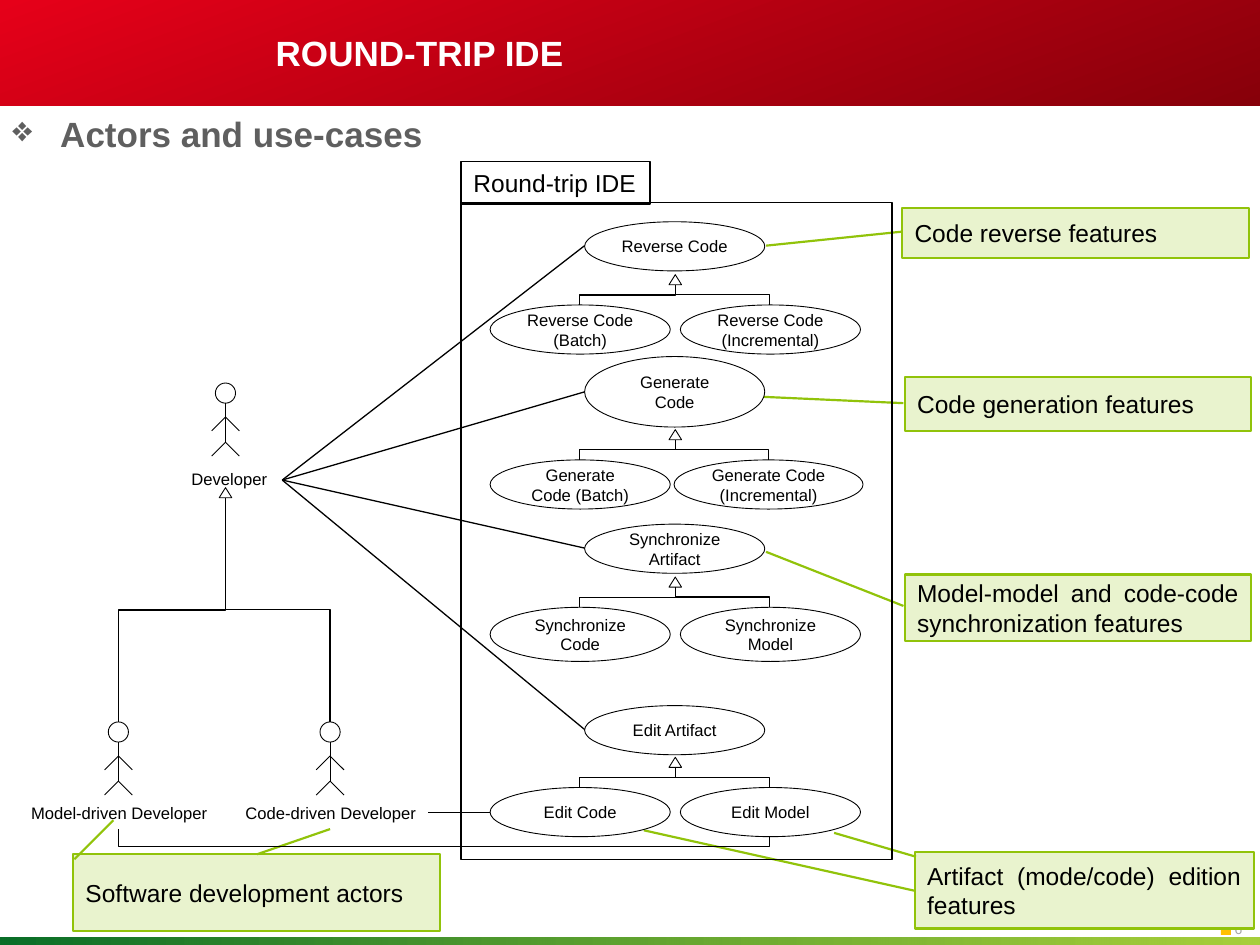
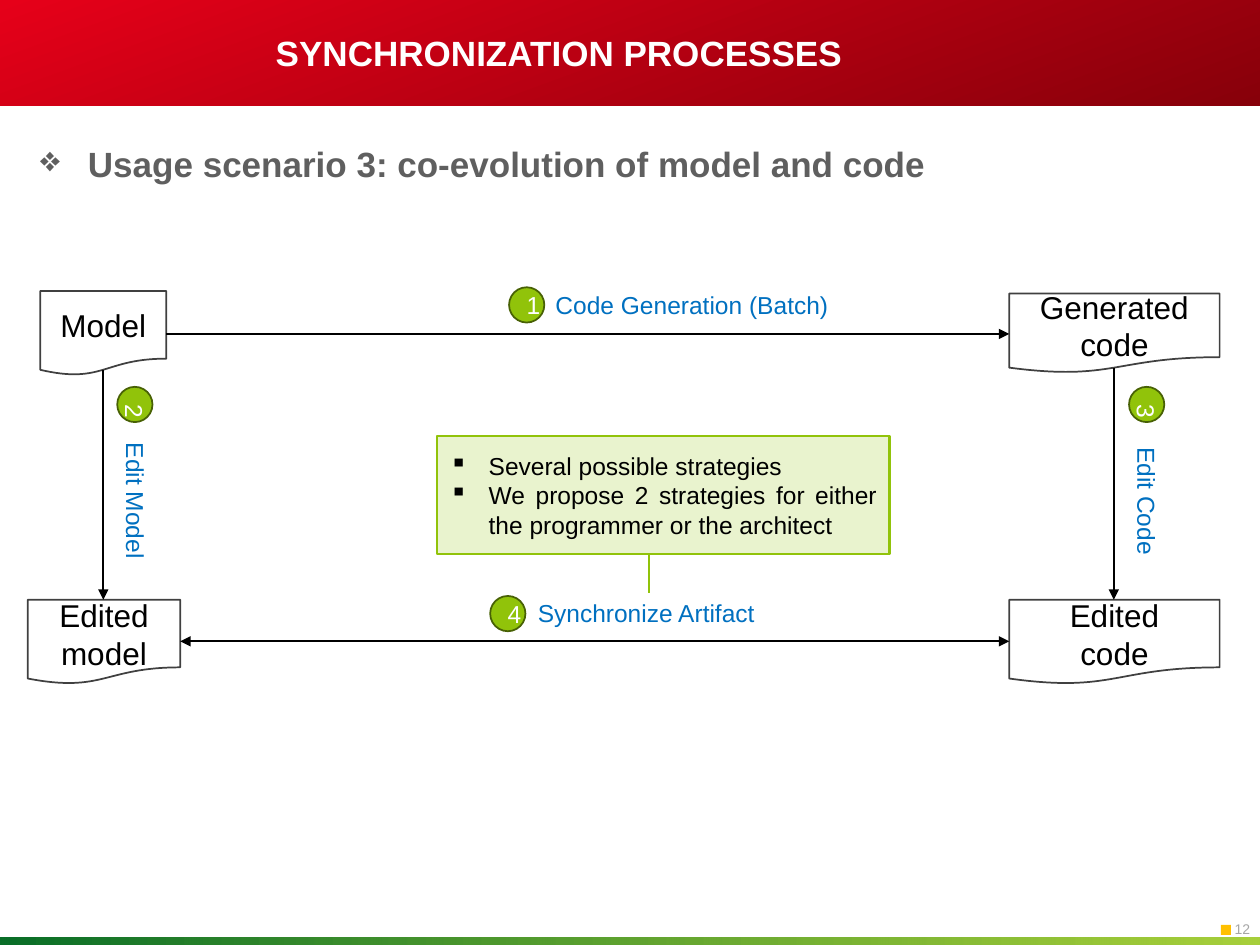
"""Build the round-trip IDE use-case slide and the co-evolution scenario slide."""
from dataclasses import dataclass
from typing import NamedTuple, Optional

from lxml.etree import SubElement
from pptx import Presentation
from pptx.dml.color import RGBColor
from pptx.enum.shapes import MSO_CONNECTOR, MSO_SHAPE
from pptx.enum.text import MSO_ANCHOR, PP_ALIGN
from pptx.oxml.ns import qn
from pptx.util import Pt

EMU_PER_PX = 9144
SLIDE_WIDTH, SLIDE_HEIGHT = 1000, 750
FONT = "Arial"

BLACK = RGBColor(0x00, 0x00, 0x00)
WHITE = RGBColor(0xFF, 0xFF, 0xFF)
RED = RGBColor(0xE6, 0x00, 0x19)
DARK_RED = RGBColor(0x87, 0x00, 0x0A)
FOREST = RGBColor(0x0A, 0x6E, 0x28)
LIME = RGBColor(0x91, 0xC3, 0x0A)
PALE_LIME = RGBColor(0xE9, 0xF3, 0xCE)
OLIVE = RGBColor(0x48, 0x61, 0x05)
AMBER = RGBColor(0xFF, 0xC0, 0x00)
SILVER = RGBColor(0xA6, 0xA6, 0xA6)
GREY = RGBColor(0x5F, 0x5F, 0x5F)
CHARCOAL = RGBColor(0x40, 0x40, 0x40)
BLUE = RGBColor(0x00, 0x70, 0xC0)


class Point(NamedTuple):
    x: int
    y: int


class Box(NamedTuple):
    left: int
    top: int
    width: int
    height: int


class TextStyle(NamedTuple):
    size: float
    color: RGBColor = BLACK
    bold: bool = False
    align: PP_ALIGN = PP_ALIGN.LEFT


class Outline(NamedTuple):
    color: RGBColor
    width: float


@dataclass
class Actor:
    name: str
    x: int
    top: int
    label: Box


@dataclass
class UseCaseFamily:
    parent: str
    parent_top: int
    parent_height: int
    children: tuple[str, str]
    children_top: int
    children_height: int = 39
    right_left: int = 540
    right_width: int = 143


@dataclass
class Callout:
    text: str
    box: Box
    start: Point
    tip: Point
    bullet: str = ""


@dataclass
class Document:
    text: str
    box: Box


@dataclass
class Step:
    number: str
    name: str
    badge: Point
    label: Box
    rotation: int = 0


TITLE = TextStyle(20, WHITE, True)
HEADING = TextStyle(20, GREY, True)
PAGE_NUMBER = TextStyle(8, SILVER)
BODY = TextStyle(14)
CALLOUT = TextStyle(14, align=PP_ALIGN.JUSTIFY)
USE_CASE = TextStyle(9.5, align=PP_ALIGN.CENTER)
DOCUMENT = TextStyle(18, align=PP_ALIGN.CENTER)
BADGE = TextStyle(14, WHITE, align=PP_ALIGN.CENTER)
STEP = TextStyle(14, BLUE)

HAIRLINE = Outline(BLACK, 0.5)
THIN = Outline(BLACK, 0.75)
FLOW = Outline(BLACK, 1)
POINTER = Outline(LIME, 1.25)

HUB = Point(224, 381)
ACTORS = [
    Actor("Code-driven Developer", 262, 573, Box(184, 632, 157, 26)),
    Actor("Developer", 179, 304, Box(140, 367, 84, 27)),
    Actor("Model-driven Developer", 94, 573, Box(14, 632, 161, 26)),
]
FAMILIES = [
    UseCaseFamily("Reverse Code", 176, 39, ("Reverse Code (Batch)", "Reverse Code (Incremental)"), 242),
    UseCaseFamily("Generate Code", 283, 56, ("Generate Code (Batch)", "Generate Code (Incremental)"), 365,
                  right_left=535, right_width=150),
    UseCaseFamily("Synchronize Artifact", 416, 39, ("Synchronize Code", "Synchronize Model"), 482, 43),
    UseCaseFamily("Edit Artifact", 560, 39, ("Edit Code", "Edit Model"), 625),
]
FEATURES = [
    Callout("Artifact (mode/code) edition features", Box(726, 676, 269, 61), Point(727, 680), Point(662, 661)),
    Callout("Code reverse features", Box(716, 165, 275, 40), Point(715, 184), Point(608, 195)),
    Callout("Code generation features", Box(718, 299, 275, 43), Point(717, 320), Point(606, 315)),
    Callout("Software development actors", Box(58, 678, 291, 61), Point(59, 682), Point(90, 651)),
    Callout("Model-model and code-code synchronization features", Box(718, 456, 275, 53),
            Point(717, 481), Point(608, 438)),
]
STRATEGIES = Callout(
    "Several possible strategies\nWe propose 2 strategies for either the programmer or the architect",
    Box(347, 346, 359, 94), Point(515, 440), Point(515, 471), "▪")
DOCUMENTS = [
    Document("Model", Box(32, 231, 100, 67)),
    Document("Generated code", Box(801, 233, 167, 63)),
    Document("Edited\ncode", Box(801, 476, 167, 67)),
    Document("Edited model", Box(22, 476, 121, 67)),
]
STEPS = [
    Step("1", "Code Generation (Batch)", Point(404, 228), Box(431, 225, 238, 34)),
    Step("4", "Synchronize Artifact", Point(389, 473), Box(417, 470, 193, 34)),
    Step("2", "Edit Model", Point(93, 307), Box(51, 381, 113, 34), 90),
    Step("3", "Edit Code", Point(896, 307), Box(857, 381, 106, 34), 90),
]


def px(length: float) -> int:
    """Turn px into EMU."""
    return round(length * EMU_PER_PX)


def write(frame, text: str, style: TextStyle, bullet: str = "", indent: int = 0) -> None:
    """Fill a text frame with styled, optionally bulleted paragraphs."""
    frame.text = text
    for paragraph in frame.paragraphs:
        paragraph.alignment = style.align
        if bullet:
            properties = paragraph._p.get_or_add_pPr()
            properties.set("marL", str(px(indent)))
            properties.set("indent", str(-px(indent)))
            SubElement(properties, qn("a:buChar")).set("char", bullet)
        for run in paragraph.runs:
            run.font.name = FONT
            run.font.size = Pt(style.size)
            run.font.bold = style.bold
            run.font.color.rgb = style.color


def add_figure(slide, kind: MSO_SHAPE, box: Box, fill: Optional[RGBColor] = None,
               outline: Optional[Outline] = None):
    """Draw a preset shape with the given fill and outline."""
    figure = slide.shapes.add_shape(kind, *map(px, box))
    figure.shadow.inherit = False
    if fill is None:
        figure.fill.background()
    else:
        figure.fill.solid()
        figure.fill.fore_color.rgb = fill
    if outline is None:
        figure.line.fill.background()
    else:
        figure.line.color.rgb = outline.color
        figure.line.width = Pt(outline.width)
    return figure


def add_label(slide, text: str, box: Box, style: TextStyle, wrap: bool = False):
    """Place a text box."""
    label = slide.shapes.add_textbox(*map(px, box))
    label.text_frame.word_wrap = wrap
    write(label.text_frame, text, style)
    return label


def add_link(slide, start: Point, end: Point, outline: Outline, arrows: tuple[str, ...] = (),
             kind: MSO_CONNECTOR = MSO_CONNECTOR.STRAIGHT):
    """Draw a connector with arrowheads at the named ends."""
    link = slide.shapes.add_connector(kind, *map(px, (*start, *end)))
    link.line.color.rgb = outline.color
    link.line.width = Pt(outline.width)
    properties = link._element.spPr
    for arrow in arrows:
        SubElement(properties.find(qn("a:ln")), qn(f"a:{arrow}")).set("type", "triangle")
    SubElement(properties, qn("a:effectLst"))
    return link


def add_vertical_elbow(slide, start: Point, end: Point, bend: Optional[float] = None) -> None:
    """Draw an elbow that leaves and arrives vertically, by turning a horizontal one."""
    x, y = (start.x + end.x) / 2, (start.y + end.y) / 2
    link = add_link(slide, Point(x + y - start.y, y + start.x - x), Point(x + y - end.y, y + end.x - x),
                    THIN, kind=MSO_CONNECTOR.ELBOW)
    properties = link._element.spPr
    properties.find(qn("a:xfrm")).set("rot", str(270 * 60000))
    if bend is not None:
        guide = SubElement(properties.find(qn("a:prstGeom")).find(qn("a:avLst")), qn("a:gd"))
        guide.set("name", "adj1")
        guide.set("fmla", f"val {round(bend * 100000)}")


def add_band(slide, box: Box, colors: tuple[RGBColor, RGBColor], angle: int):
    """Draw a gradient band."""
    band = add_figure(slide, MSO_SHAPE.RECTANGLE, box)
    band.fill.gradient()
    band.fill.gradient_angle = angle
    for stop, color in zip(band.fill.gradient_stops, colors):
        stop.color.rgb = color
    return band


def add_base(presentation, title: str, heading: str, heading_at: Point, number: str):
    """Add a slide with its bands, page number, title and heading."""
    slide = presentation.slides.add_slide(presentation.slide_layouts[6])
    add_band(slide, Box(0, 0, SLIDE_WIDTH, 84), (RED, DARK_RED), 290)
    footer = add_band(slide, Box(0, 744, SLIDE_WIDTH, 6), (FOREST, LIME), 0)
    last_color = list(footer._element.spPr.iter(qn("a:srgbClr")))[-1]
    SubElement(last_color, qn("a:alpha")).set("val", "80000")
    add_label(slide, number, Box(970, 726, 40, 24), PAGE_NUMBER)
    add_figure(slide, MSO_SHAPE.RECTANGLE, Box(969, 734, 8, 8), AMBER)
    title_label = add_label(slide, title, Box(209, 10, 646, 63), TITLE, True)
    title_label.text_frame.vertical_anchor = MSO_ANCHOR.MIDDLE
    heading_label = add_label(slide, "", Box(*heading_at, 940, 39), HEADING, True)
    write(heading_label.text_frame, heading, HEADING, "❖", 38)
    return slide


def add_callout(slide, callout: Callout) -> None:
    """Draw a bordered callout whose pointer runs from start to tip."""
    box = callout.box
    note = add_figure(slide, MSO_SHAPE.LINE_CALLOUT_1, box, PALE_LIME, POINTER)
    for index, point in enumerate((callout.start, callout.tip)):
        note.adjustments[2 * index] = (point.y - box.top) / box.height
        note.adjustments[2 * index + 1] = (point.x - box.left) / box.width
    write(note.text_frame, callout.text, CALLOUT, callout.bullet, 31)


def add_actor(slide, actor: Actor) -> None:
    """Draw a stick figure with its name."""
    x, top = actor.x, actor.top
    add_figure(slide, MSO_SHAPE.OVAL, Box(x - 8, top, 16, 16), outline=HAIRLINE)
    add_link(slide, Point(x, top + 16), Point(x, top + 48), HAIRLINE)
    for joint in (top + 27, top + 47):
        for reach in (-11, 11):
            add_link(slide, Point(x, joint), Point(x + reach, joint + 11), HAIRLINE)
    add_label(slide, actor.name, actor.label, USE_CASE)


def add_use_case(slide, name: str, box: Box) -> None:
    """Draw a use-case ellipse."""
    frame = add_figure(slide, MSO_SHAPE.OVAL, box, outline=HAIRLINE).text_frame
    frame.margin_left = frame.margin_right = px(7)
    frame.margin_top = frame.margin_bottom = px(4)
    write(frame, name, USE_CASE)


def add_generalization(slide, tip: Point, sources: list[Point]) -> None:
    """Join the sources to a hollow triangle."""
    add_figure(slide, MSO_SHAPE.ISOSCELES_TRIANGLE, Box(tip.x - 5, tip.y, 10, 8), WHITE, HAIRLINE)
    for source in sources:
        add_vertical_elbow(slide, source, Point(tip.x, tip.y + 8))


def add_family(slide, family: UseCaseFamily) -> None:
    """Draw a use case, its two specializations and its link to the developer."""
    top, height = family.children_top, family.children_height
    boxes = [Box(389, top, 143, height), Box(family.right_left, top, family.right_width, height)]
    add_use_case(slide, family.parent, Box(464, family.parent_top, 143, family.parent_height))
    for name, box in zip(family.children, boxes):
        add_use_case(slide, name, box)
    add_generalization(slide, Point(536, top - 24), [Point(box.left + box.width // 2, top) for box in boxes])
    add_link(slide, HUB, Point(464, family.parent_top + family.parent_height // 2), THIN)


def build_use_cases(presentation) -> None:
    """Build the slide of actors and use cases."""
    slide = add_base(presentation, "ROUND-TRIP IDE", "Actors and use-cases", Point(0, 84), "6")
    for feature in FEATURES:
        add_callout(slide, feature)
    add_link(slide, Point(726, 707), Point(511, 659), POINTER)
    add_link(slide, Point(204, 678), Point(262, 658), POINTER)
    add_figure(slide, MSO_SHAPE.RECTANGLE, Box(366, 161, 342, 521), outline=THIN)
    system = add_figure(slide, MSO_SHAPE.RECTANGLE, Box(366, 128, 150, 34), outline=THIN)
    system.text_frame.word_wrap = False
    write(system.text_frame, "Round-trip IDE", BODY)
    for family in FAMILIES:
        add_family(slide, family)
    for actor in ACTORS:
        add_actor(slide, actor)
    add_generalization(slide, Point(179, 387), [Point(94, 573), Point(262, 573)])
    add_link(slide, Point(340, 645), Point(389, 645), THIN)
    add_vertical_elbow(slide, Point(94, 658), Point(611, 664), 2.3)


def build_scenario(presentation) -> None:
    """Build the slide of the co-evolution scenario."""
    slide = add_base(presentation, "SYNCHRONIZATION PROCESSES",
                     "Usage scenario 3: co-evolution of model and code", Point(22, 108), "12")
    for document in DOCUMENTS:
        sheet = add_figure(slide, MSO_SHAPE.FLOWCHART_DOCUMENT, document.box, outline=Outline(CHARCOAL, 1))
        write(sheet.text_frame, document.text, DOCUMENT)
    add_link(slide, Point(132, 265), Point(801, 265), FLOW, ("tailEnd",))
    add_link(slide, Point(82, 294), Point(82, 476), FLOW, ("tailEnd",))
    add_link(slide, Point(884, 292), Point(884, 476), FLOW, ("tailEnd",))
    add_link(slide, Point(143, 509), Point(801, 509), FLOW, ("headEnd", "tailEnd"))
    for step in STEPS:
        badge = add_figure(slide, MSO_SHAPE.OVAL, Box(*step.badge, 28, 28), LIME, Outline(OLIVE, 1))
        write(badge.text_frame, step.number, BADGE)
        label = add_label(slide, step.name, step.label, STEP)
        badge.rotation = label.rotation = step.rotation
    add_callout(slide, STRATEGIES)


def main() -> None:
    """Build and save the presentation."""
    presentation = Presentation()
    presentation.slide_width, presentation.slide_height = px(SLIDE_WIDTH), px(SLIDE_HEIGHT)
    build_use_cases(presentation)
    build_scenario(presentation)
    presentation.save("out.pptx")


if __name__ == "__main__":
    main()
